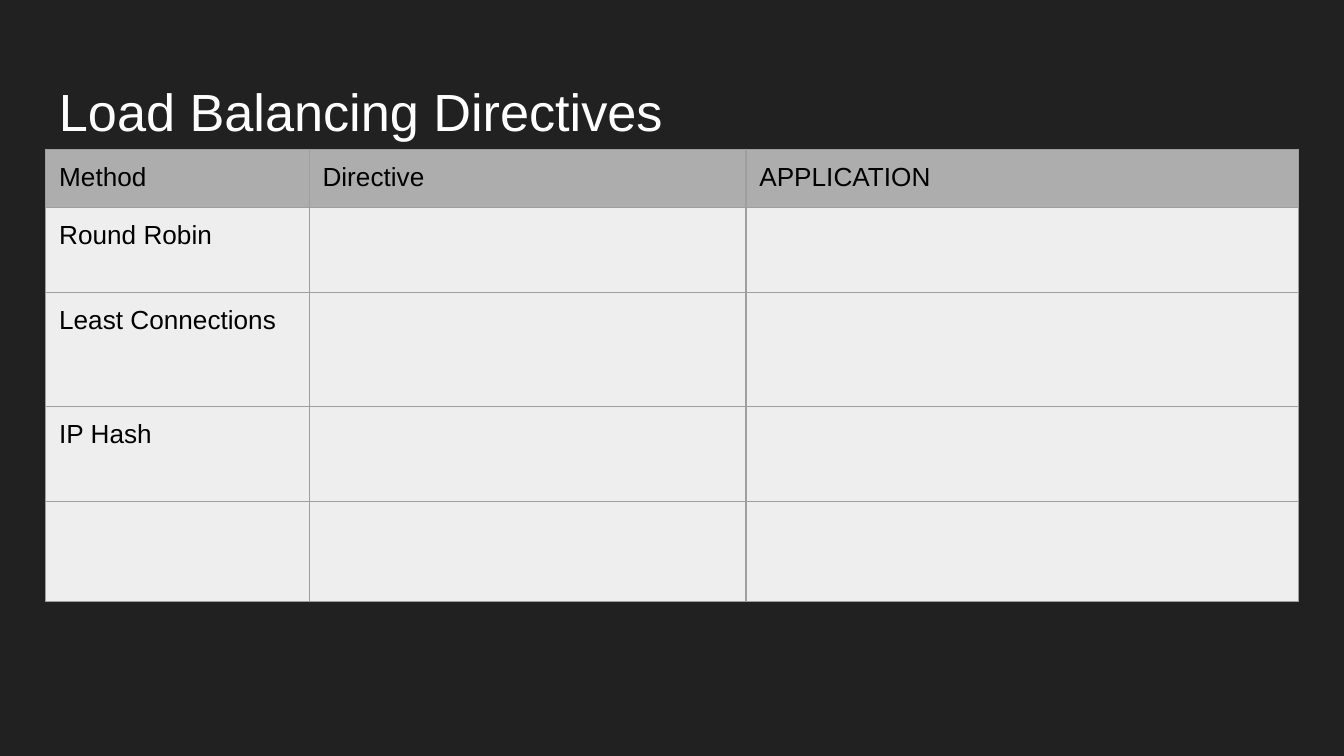
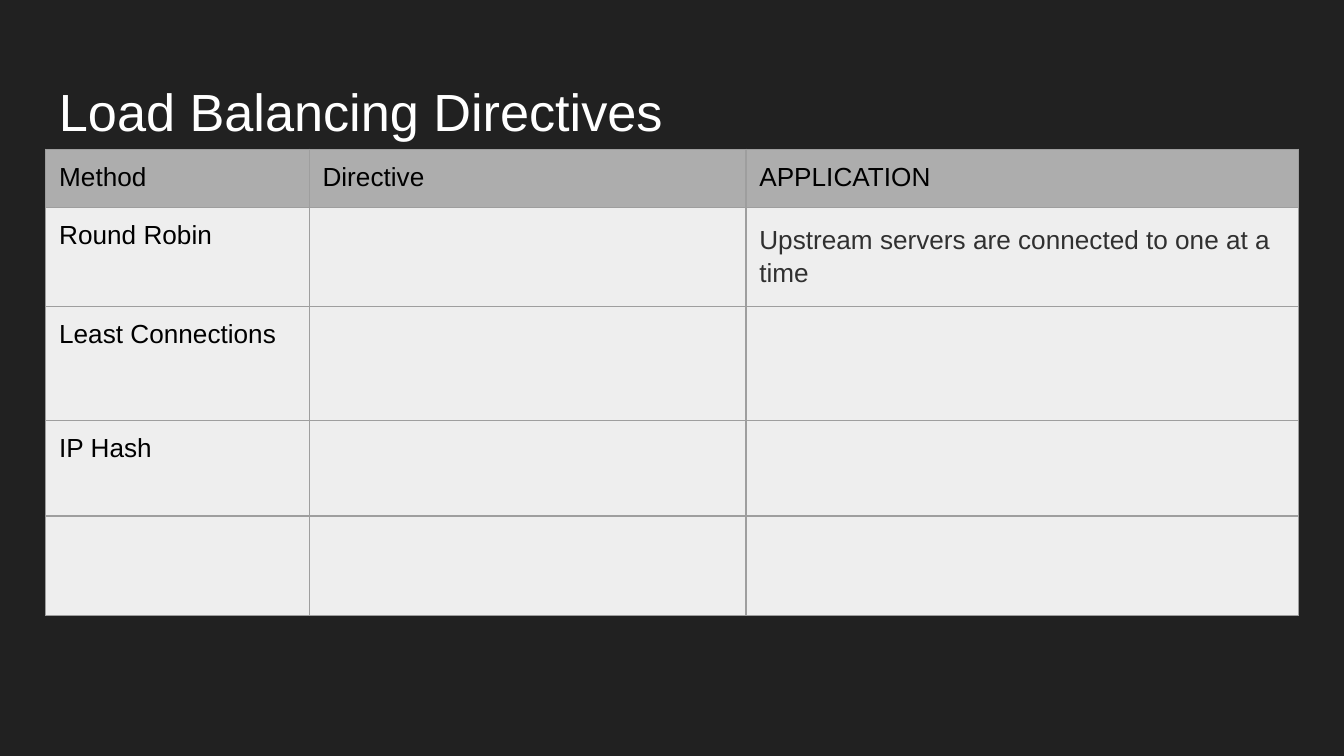
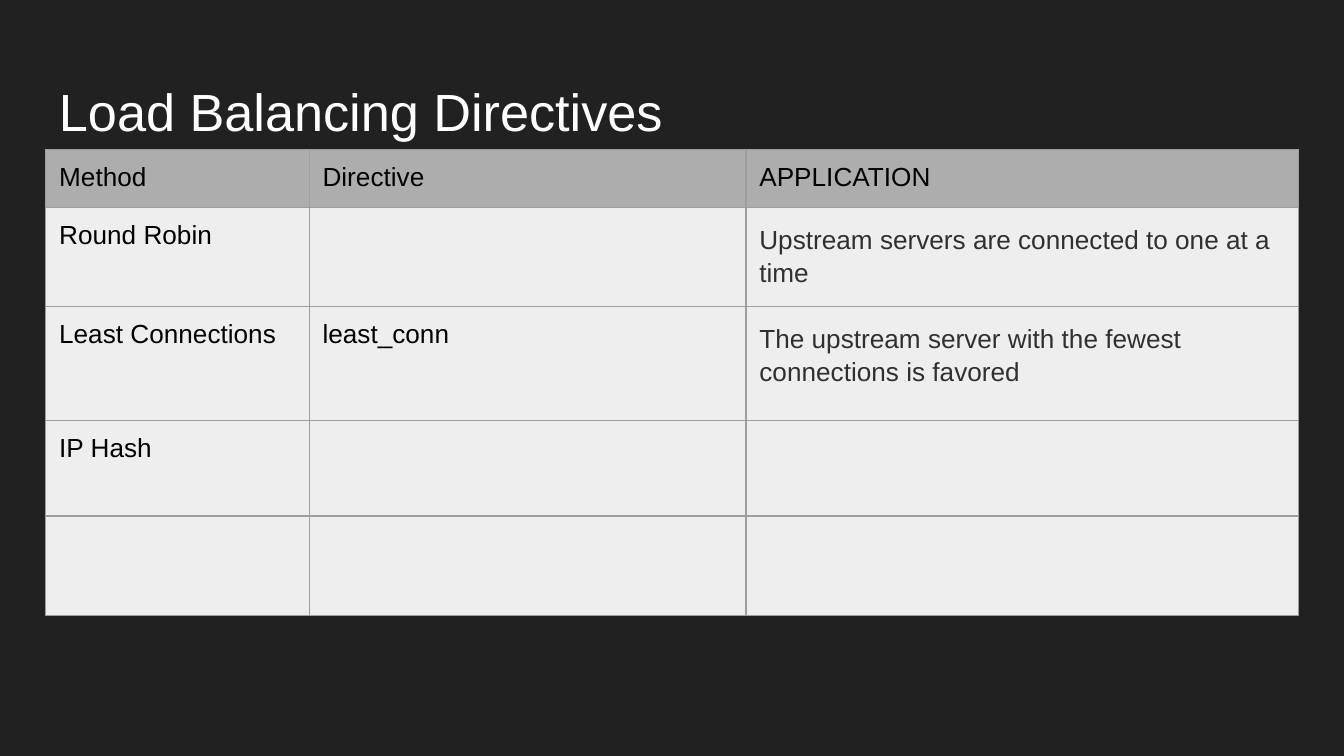
from lxml import etree
from pptx import Presentation
from pptx.dml.color import RGBColor
from pptx.enum import text
from pptx.oxml import ns
from pptx.util import Inches, Pt

DARK = RGBColor(0x21, 0x21, 0x21)
WHITE = RGBColor(0xFF, 0xFF, 0xFF)
BLACK = RGBColor(0, 0, 0)
SOFT = RGBColor(0x30, 0x30, 0x30)
HEAD = RGBColor(0xAD, 0xAD, 0xAD)
BODY = RGBColor(0xEE, 0xEE, 0xEE)
RULE = RGBColor(0x9E, 0x9E, 0x9E)
FONT = "Arial"

TITLE = "Load Balancing Directives"
HEADS = ["Method", "Directive", "APPLICATION"]
METHODS = ["Round Robin", "Least Connections", "IP Hash", ""]
ROUND = ("", "Upstream servers are connected to one at a time")
LEAST = ("least_conn",
         "The upstream server with the fewest connections is favored")

# Each slide reveals more answers, keyed by method
STEPS = [
    {},
    {"Round Robin": ROUND},
    {"Round Robin": ROUND, "Least Connections": LEAST},
]

LEFT, WIDTH = 0.34, 9.32
COLS = [1.96, 3.25, 4.11]
ROWS = [0.37, 0.63, 0.85, 0.71, 0.74]
FRAME = Inches(3.28)
PAD = Inches(0.1)


def write(para, words, size, color):
    run = para.add_run()
    run.text = words
    run.font.name = FONT
    run.font.size = Pt(size)
    run.font.color.rgb = color


def pad(part):
    part.margin_left = part.margin_right = PAD
    part.margin_top = part.margin_bottom = PAD


def add_title(slide):
    box = slide.shapes.add_textbox(
        Inches(LEFT), Inches(0.49), Inches(WIDTH), Inches(0.63))
    frame = box.text_frame
    frame.word_wrap = True
    frame.vertical_anchor = text.MSO_ANCHOR.TOP
    pad(frame)
    write(frame.paragraphs[0], TITLE, 28, WHITE)


def add_rules(cell):
    """Draw a thin line on all four sides of the cell."""
    props = cell._tc.get_or_add_tcPr()
    for spot, side in enumerate(("lnL", "lnR", "lnT", "lnB")):
        line = etree.Element(ns.qn("a:" + side), w=str(Pt(0.75)))
        fill = etree.SubElement(line, ns.qn("a:solidFill"))
        etree.SubElement(fill, ns.qn("a:srgbClr"), val=str(RULE))
        props.insert(spot, line)


def fill_cell(cell, words, row, col):
    pad(cell)
    cell.fill.solid()
    cell.fill.fore_color.rgb = BODY if row else HEAD
    add_rules(cell)
    if not words:
        return
    para = cell.text_frame.paragraphs[0]
    answer = row > 0 and col == 2
    if answer:
        para.line_spacing = 1.15
        para.space_after = Pt(16)
    write(para, words, 14, SOFT if answer else BLACK)


def add_grid(slide, known):
    lines = [HEADS] + [[name, *known.get(name, ("", ""))] for name in METHODS]
    holder = slide.shapes.add_table(
        len(ROWS), len(COLS), Inches(LEFT), Inches(1.11), FRAME, FRAME)
    grid = holder.table
    grid.horz_banding = False
    for col, wide in zip(grid.columns, COLS):
        col.width = Inches(wide)
    for row, high in zip(grid.rows, ROWS):
        row.height = Inches(high)
    holder.width = holder.height = FRAME
    for r, line in enumerate(lines):
        for c, words in enumerate(line):
            fill_cell(grid.cell(r, c), words, r, c)


def main():
    deck = Presentation()
    deck.slide_width = Inches(10)
    deck.slide_height = deck.slide_width * 9 // 16
    for known in STEPS:
        slide = deck.slides.add_slide(deck.slide_layouts[6])
        slide.background.fill.solid()
        slide.background.fill.fore_color.rgb = DARK
        add_title(slide)
        add_grid(slide, known)
    deck.save("out.pptx")


if __name__ == "__main__":
    main()
